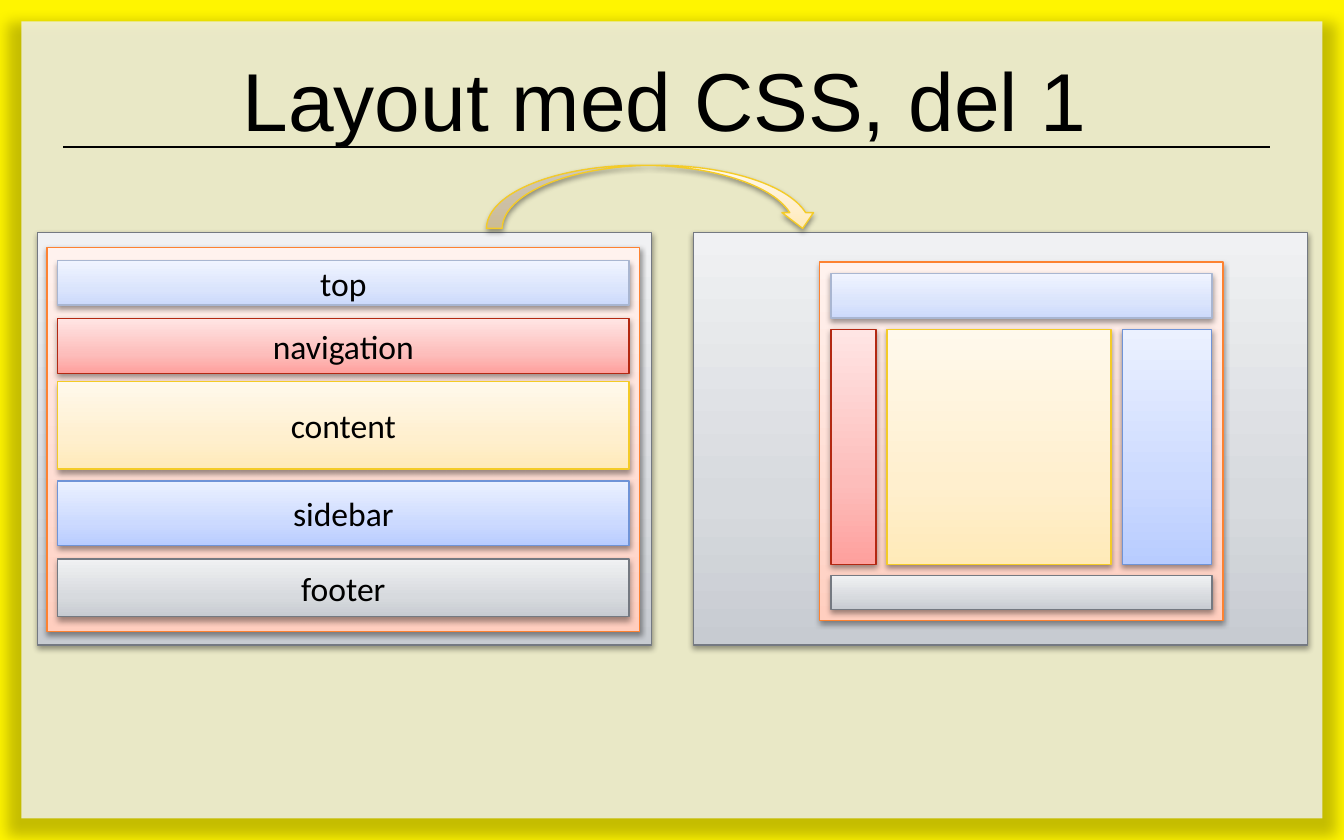
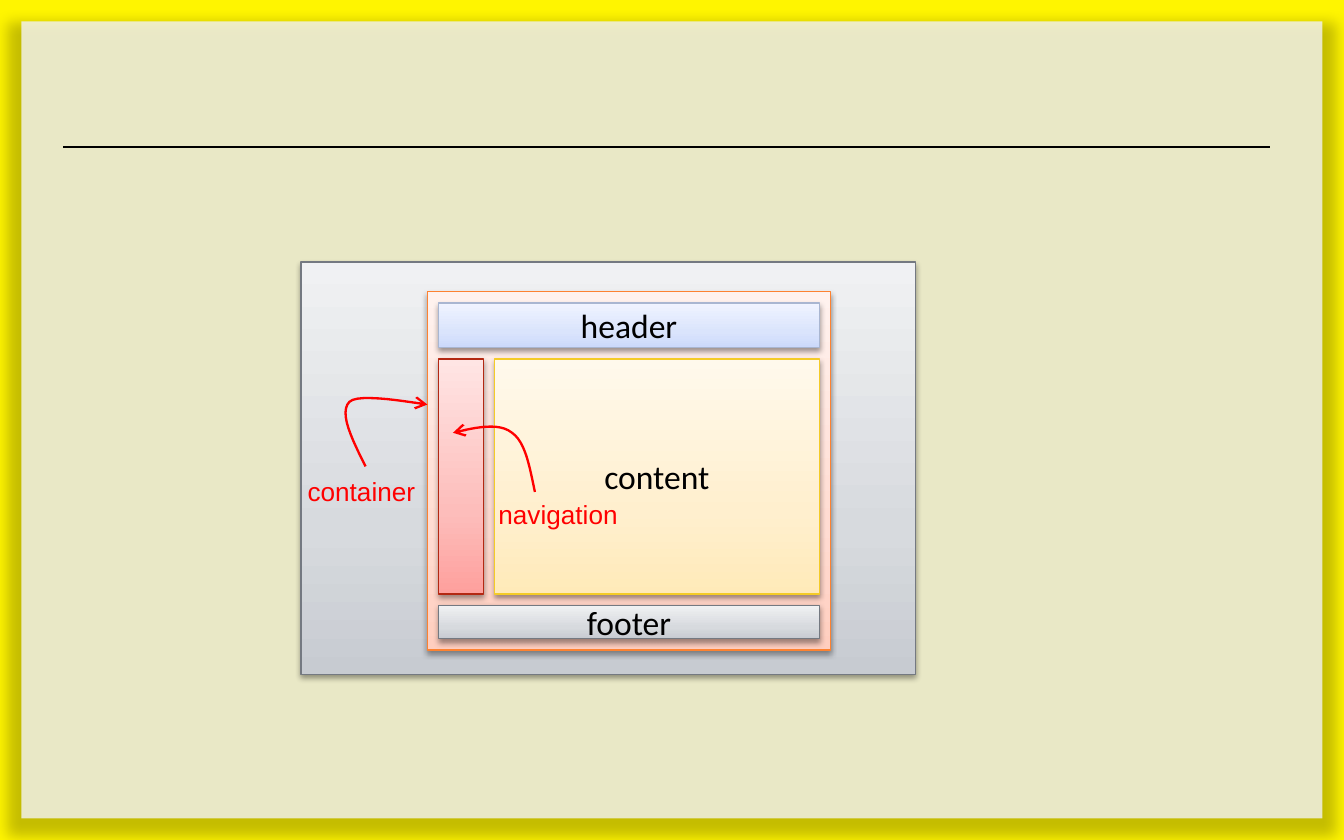
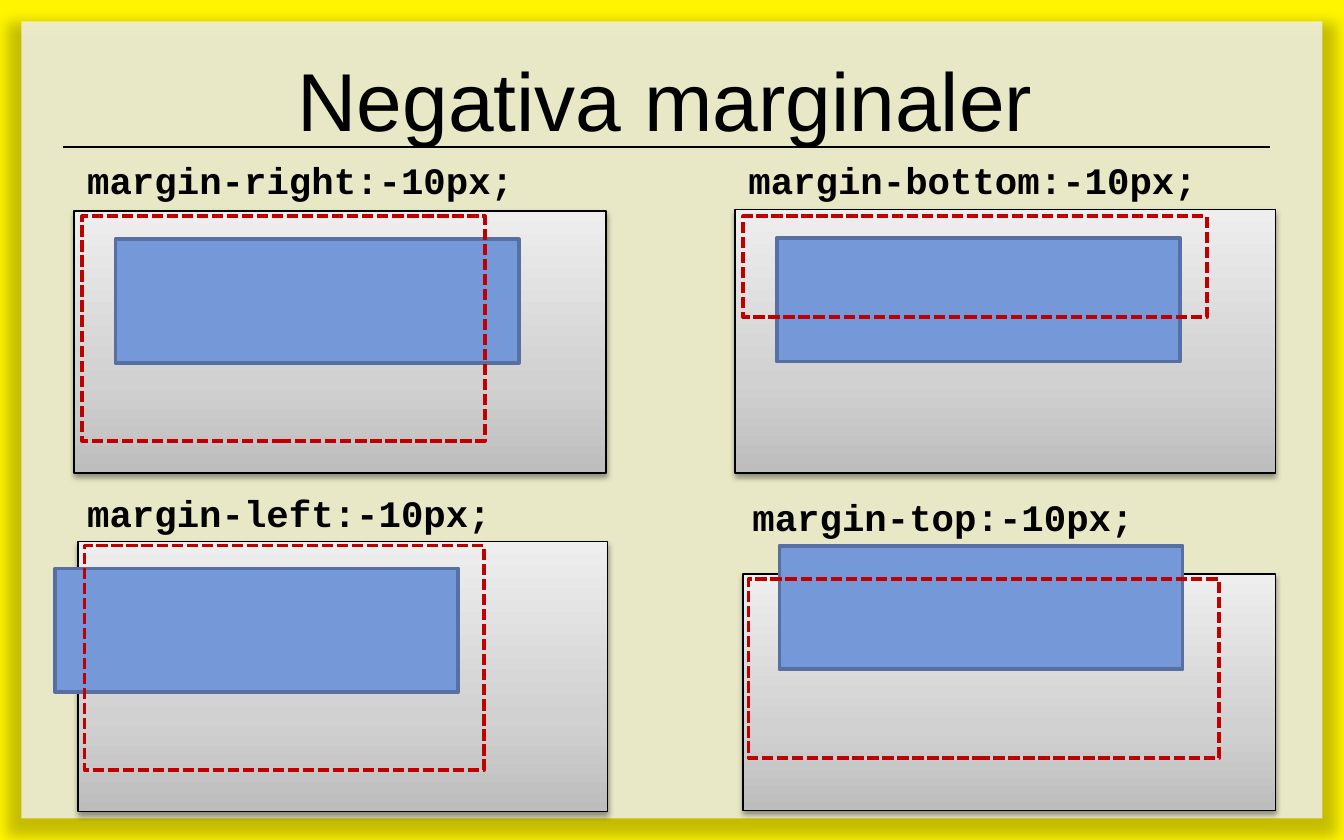
import copy

import lxml.etree
import pptx
import pptx.dml.color
import pptx.enum.dml
import pptx.enum.shapes
import pptx.enum.text
import pptx.oxml.ns
import pptx.util

RGBColor = pptx.dml.color.RGBColor
Inches = pptx.util.Inches
Pt = pptx.util.Pt
qn = pptx.oxml.ns.qn
RECTANGLE = pptx.enum.shapes.MSO_SHAPE.RECTANGLE
CURVED_ARROW = pptx.enum.shapes.MSO_SHAPE.CURVED_DOWN_ARROW
CENTER = pptx.enum.text.PP_ALIGN.CENTER
MIDDLE = pptx.enum.text.MSO_ANCHOR.MIDDLE
BOTTOM = pptx.enum.text.MSO_ANCHOR.BOTTOM

BLACK = RGBColor(0x00, 0x00, 0x00)
YELLOW = RGBColor(0xFF, 0xF5, 0x00)
PANEL = RGBColor(0xF2, 0xF2, 0xF2)
RED = RGBColor(0xFF, 0x00, 0x00)
DARK_RED = RGBColor(0xC0, 0x00, 0x00)
BLUE = RGBColor(0x75, 0x98, 0xD9)
BLUE_EDGE = RGBColor(0x57, 0x70, 0xA1)

# Each style: gradient from bottom to top, then the outline.
STEEL = (RGBColor(0xC7, 0xCB, 0xD1), RGBColor(0xD7, 0xDA, 0xDE),
         RGBColor(0xF0, 0xF1, 0xF3), RGBColor(0x74, 0x79, 0x81))
ORANGE = (RGBColor(0xFF, 0xCE, 0xBF), RGBColor(0xFF, 0xDC, 0xD2),
          RGBColor(0xFF, 0xF2, 0xEE), RGBColor(0xFD, 0x82, 0x31))
LAVENDER = (RGBColor(0xCC, 0xD9, 0xFB), RGBColor(0xDA, 0xE4, 0xFC),
            RGBColor(0xF0, 0xF4, 0xFF), RGBColor(0xA9, 0xB6, 0xD1))
SKY = (RGBColor(0xB8, 0xCC, 0xFF), RGBColor(0xCC, 0xDA, 0xFF),
       RGBColor(0xEB, 0xF1, 0xFF), RGBColor(0x70, 0x94, 0xD7))
ROSE = (RGBColor(0xFE, 0xA0, 0x9D), RGBColor(0xFD, 0xBD, 0xBB),
        RGBColor(0xFF, 0xE5, 0xE4), RGBColor(0xB3, 0x28, 0x12))
GOLD = (RGBColor(0xFF, 0xEA, 0xB9), RGBColor(0xFF, 0xEF, 0xCE),
        RGBColor(0xFF, 0xF9, 0xEC), RGBColor(0xF4, 0xCB, 0x27))
GREY = (RGBColor(0xBD, 0xBD, 0xBD), RGBColor(0xD1, 0xD1, 0xD1),
        RGBColor(0xEE, 0xEE, 0xEE), BLACK)

WIDTH, HEIGHT = 10, 6.25
BORDER = 0.16
RULE_TOP = HEIGHT * 7 / 40
PAGE_WIDTH, PAGE_HEIGHT = 4.57, 3.07
GRID = 1 / 12  # inches per column or row of the page layout


def add_shadow(shape, opacity, blur, distance, **scaling):
    effects = shape._element.spPr.find(qn("a:effectLst"))
    shadow = lxml.etree.SubElement(
        effects, qn("a:outerShdw"), blurRad=str(Pt(blur)), dist=str(Pt(distance)),
        dir="5400000", rotWithShape="0", **scaling)
    color = lxml.etree.SubElement(shadow, qn("a:srgbClr"), val=str(BLACK))
    lxml.etree.SubElement(color, qn("a:alpha"), val=str(opacity * 1000))


def set_text(shape, text, size, font, color=BLACK, bold=False):
    paragraph = shape.text_frame.paragraphs[0]
    paragraph.text = text
    paragraph.font.size = Pt(size)
    paragraph.font.name = font
    paragraph.font.color.rgb = color
    paragraph.font.bold = bold
    return paragraph


def add_box(slide, box, fill=None, line=None, weight=2, kind=RECTANGLE):
    shape = slide.shapes.add_shape(kind, *map(Inches, box))
    shape.shadow.inherit = False
    if fill is None:
        shape.fill.background()
    else:
        shape.fill.solid()
        shape.fill.fore_color.rgb = fill
    if line is None:
        shape.line.fill.background()
    else:
        shape.line.color.rgb = line
        shape.line.width = Pt(weight)
    return shape


def add_block(slide, box, style, text="", kind=RECTANGLE):
    """Add a shape with a three-step gradient, a soft shadow and an optional label."""
    *colors, outline = style
    shape = add_box(slide, box, line=outline, weight=0.75, kind=kind)
    shape.fill.gradient()
    shape.fill.gradient_angle = 90
    stop_list = shape._element.spPr.find(".//" + qn("a:gsLst"))
    stop_list.append(copy.deepcopy(stop_list[0]))
    for stop, color, position in zip(shape.fill.gradient_stops, colors, (0, 0.35, 1)):
        stop.color.rgb = color
        stop.position = position
    add_shadow(shape, 38, 3.1, 1.6)
    if text:
        shape.text_frame.vertical_anchor = MIDDLE
        set_text(shape, text, 18, "Calibri").alignment = CENTER


def add_label(slide, box, text, *style):
    label = slide.shapes.add_textbox(*map(Inches, box))
    label.text_frame.word_wrap = False
    set_text(label, text, *style)


def add_curved_arrow(slide, start, *curves):
    """Draw joined cubic curves, each given as two control points and an end."""
    steps = 12
    points = []
    origin = start
    for curve in curves:
        for step in range(1, steps + 1):
            t = step / steps
            weights = ((1 - t) ** 3, 3 * t * (1 - t) ** 2, 3 * t ** 2 * (1 - t), t ** 3)
            points.append([
                Inches(sum(weight * value for weight, value in zip(weights, values)))
                for values in zip(origin, *curve)])
        origin = curve[-1]
    builder = slide.shapes.build_freeform(*map(Inches, start))
    builder.add_line_segments(points, close=False)
    arrow = builder.convert_to_shape()
    arrow.shadow.inherit = False
    arrow.fill.background()
    arrow.line.color.rgb = RED
    arrow.line.width = Pt(1.25)
    outline = arrow._element.spPr.find(qn("a:ln"))
    lxml.etree.SubElement(outline, qn("a:tailEnd"), type="arrow")


def add_slide(presentation, title=""):
    """Add a slide with the yellow border, the panel, the rule and an optional title."""
    slide = presentation.slides.add_slide(presentation.slide_layouts[6])
    add_box(slide, (0, 0, WIDTH, HEIGHT), YELLOW)
    panel = add_box(
        slide, (BORDER, BORDER, WIDTH - 2 * BORDER, HEIGHT - 2 * BORDER), PANEL)
    color = panel._element.spPr.find(qn("a:solidFill"))[0]
    lxml.etree.SubElement(color, qn("a:alpha"), val="82000")
    add_shadow(panel, 28, 8, 1, sx="102000", sy="102000", algn="t")

    rule = slide.shapes.add_connector(
        pptx.enum.shapes.MSO_CONNECTOR.STRAIGHT,
        *map(Inches, (0.47, RULE_TOP, 9.45, RULE_TOP)))
    rule.line.color.rgb = BLACK
    rule.line.width = Pt(1.5)
    lxml.etree.SubElement(rule._element.spPr, qn("a:effectLst"))

    if title:
        heading = slide.shapes.add_textbox(*map(Inches, (0.7, 0.3, 8.5, 0.85)))
        heading.text_frame.word_wrap = True
        heading.text_frame.vertical_anchor = BOTTOM
        set_text(heading, title, 44, "Arial").alignment = CENTER
    return slide


def add_page(slide, left, top, areas):
    """Draw a page whose container holds areas: column, row, columns, rows, style, text."""
    add_block(slide, (left, top, PAGE_WIDTH, PAGE_HEIGHT), STEEL)
    container = (0, 0, 36, 32, ORANGE, "")
    for column, row, columns, rows, style, text in (container, *areas):
        box = (left + 0.94 + column * GRID, top + 0.22 + row * GRID,
               columns * GRID, rows * GRID)
        add_block(slide, box, style, text)


def add_stacked_page(slide, left, top):
    add_block(slide, (left, top, PAGE_WIDTH, PAGE_HEIGHT), STEEL)
    add_block(slide, (left + 0.07, top + 0.11, 4.41, 2.86), ORANGE)
    for offset, height, style, text in (
        (0.21, 0.33, LAVENDER, "top"),
        (0.64, 0.41, ROSE, "navigation"),
        (1.11, 0.65, GOLD, "content"),
        (1.85, 0.48, SKY, "sidebar"),
        (2.43, 0.43, STEEL, "footer"),
    ):
        add_block(slide, (left + 0.15, top + offset, 4.25, height), style, text)


def add_margin_demo(slide, side, label_at, parent, child_at, margin_box):
    add_block(slide, parent, GREY)
    add_box(slide, (*child_at, 3, 0.92), BLUE, BLUE_EDGE)
    outline = add_box(slide, margin_box, line=DARK_RED)
    outline.line.dash_style = pptx.enum.dml.MSO_LINE.SQUARE_DOT
    text = f"margin-{side}:-10px;"
    label_width = 0.24 + len(text) / 6
    add_label(slide, (*label_at, label_width, 0.44), text,
              20, "Courier New", BLACK, True)


def build_layout_slide(presentation):
    slide = add_slide(presentation, "Layout med CSS, del 1")
    add_page(slide, 5.16, 1.73, (
        (1, 1, 34, 4, LAVENDER, ""),
        (27, 6, 8, 21, SKY, ""),
        (1, 6, 4, 21, ROSE, ""),
        (6, 6, 20, 21, GOLD, ""),
        (1, 28, 34, 3, STEEL, ""),
    ))
    add_stacked_page(slide, 0.28, 1.73)
    add_block(slide, (3.62, 1.23, 2.47, 0.47), GOLD, kind=CURVED_ARROW)


def build_container_slide(presentation):
    slide = add_slide(presentation)
    add_page(slide, 2.24, 1.95, (
        (1, 1, 34, 4, LAVENDER, "header"),
        (1, 6, 4, 21, ROSE, ""),
        (6, 6, 29, 21, GOLD, "content"),
        (1, 28, 34, 3, STEEL, "footer"),
    ))
    add_curved_arrow(slide, (3.98, 3.66),
                     ((3.94, 3.47), (3.91, 3.29), (3.81, 3.22)),
                     ((3.71, 3.14), (3.54, 3.18), (3.37, 3.22)))
    add_label(slide, (3.61, 3.66, 1.15, 0.34), "navigation", 14, "Arial", RED)
    add_label(slide, (2.19, 3.49, 1.06, 0.34), "container", 14, "Arial", RED)
    add_curved_arrow(slide, (2.72, 3.47),
                     ((2.62, 3.27), (2.52, 3.07), (2.6, 2.99)),
                     ((2.67, 2.92), (3.09, 3), (3.18, 3.01)))


def build_margin_slide(presentation):
    slide = add_slide(presentation, "Negativa marginaler")
    for demo in (
        ("right", (0.55, 1.12), (0.55, 1.57, 3.96, 1.95), (0.86, 1.78),
         (0.61, 1.61, 3, 1.67)),
        ("left", (0.55, 3.6), (0.58, 4.03, 3.94, 2.01), (0.41, 4.23),
         (0.63, 4.06, 2.97, 1.67)),
        ("bottom", (5.47, 1.12), (5.47, 1.56, 4.02, 1.96), (5.78, 1.77),
         (5.53, 1.61, 3.45, 0.75)),
        ("top", (5.5, 3.63), (5.53, 4.27, 3.96, 1.76), (5.8, 4.06),
         (5.57, 4.31, 3.5, 1.33)),
    ):
        add_margin_demo(slide, *demo)


def main():
    presentation = pptx.Presentation()
    presentation.slide_width = Inches(WIDTH)
    presentation.slide_height = Inches(HEIGHT)
    build_layout_slide(presentation)
    build_container_slide(presentation)
    build_margin_slide(presentation)
    presentation.save("out.pptx")


if __name__ == "__main__":
    main()
